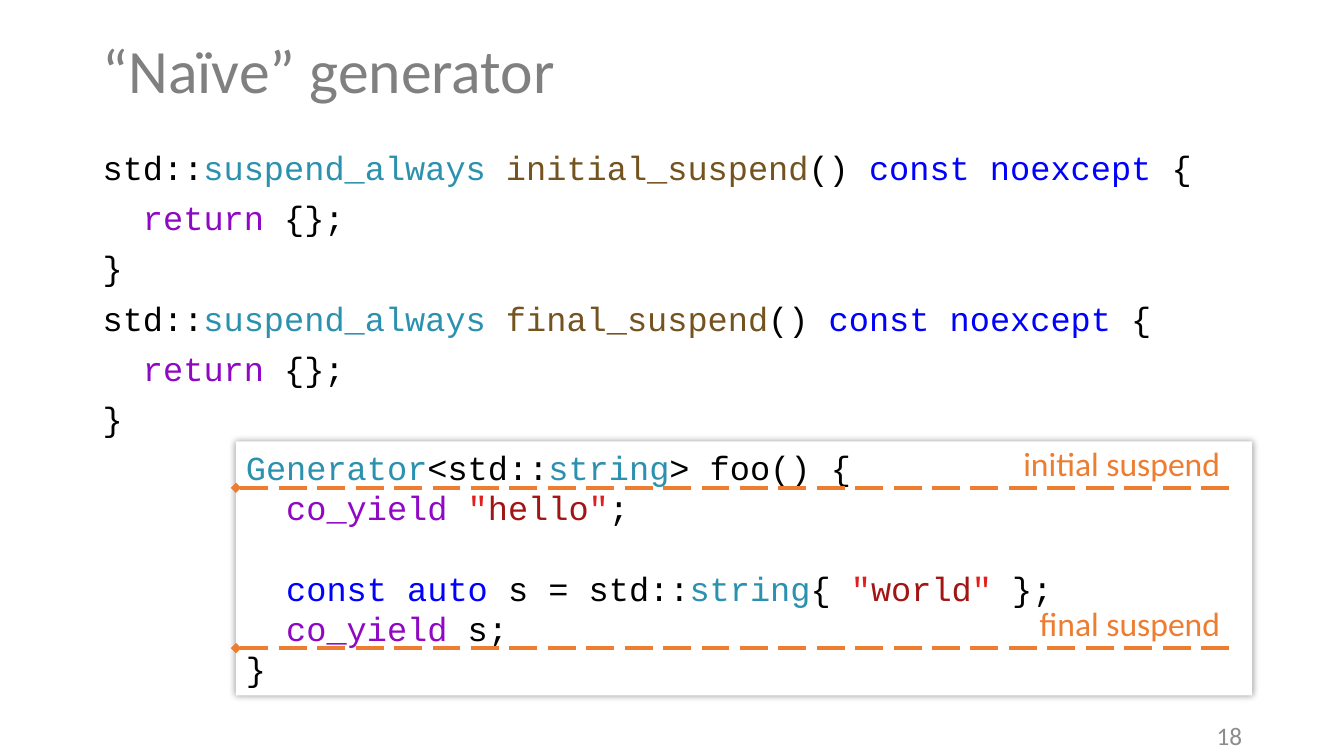
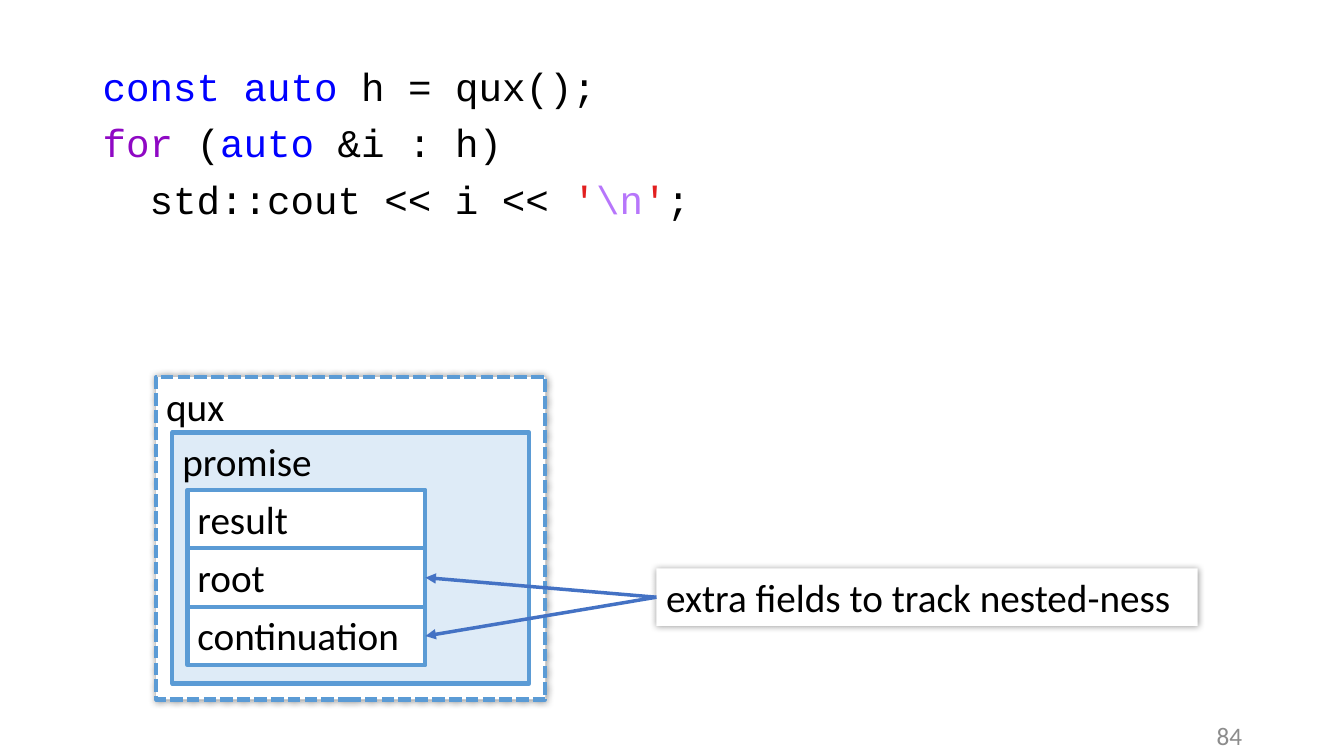
from itertools import groupby

from pptx import Presentation
from pptx.dml.color import RGBColor
from pptx.enum import dml, shapes, text
from pptx.oxml import parse_xml
from pptx.oxml.ns import nsdecls, qn
from pptx.util import Inches, Pt

SANS, MONO = "Calibri", "Courier New"
BLACK, WHITE, GRAY, PALE = "000000", "FFFFFF", "808080", "8C8C8C"
ORANGE, SKY, MIST, BLUE = "ED7D31", "5B9BD5", "DEEBF7", "4472C4"
QUOTES = "\"'"
SYNTAX = {
    "2B91AF": ["suspend_always", "Generator", "string"],
    "74531F": ["initial_suspend", "final_suspend"],
    "0000FF": ["const", "noexcept", "auto"],
    "8F08C4": ["return", "co_yield", "for"],
    "A31515": ["hello", "world"],
    "B776FB": ["\\n"],
    "E21F1F": list(QUOTES),
}
TINTS = {word: tint for tint, words in SYNTAX.items() for word in words}
LEFT, WIDTH = 0.92, 11.5

HOOKS = [
    "std::suspend_always initial_suspend() const noexcept {",
    "  return {};",
    "}",
    "std::suspend_always final_suspend() const noexcept {",
    "  return {};",
    "}",
]
FOO = [
    "Generator<std::string> foo() {",
    '  co_yield "hello";',
    "",
    '  const auto s = std::string{ "world" };',
    "  co_yield s;",
    "}",
]
STOPS = [("initial suspend", 4.84), ("final suspend", 6.43)]
LOOP = [
    "const auto h = qux();",
    "for (auto &i : h)",
    "  std::cout << i << '\\n';",
]
FRAMES = [
    ("qux", (1.55, 3.74, 3.86, 3.2), WHITE, dict(dash="SQUARE_DOT", glow=True)),
    ("promise", (1.71, 4.29, 3.54, 2.49), MIST, {}),
]
FIELDS = ["result", "root", "continuation"]
EXTRA = ["root", "continuation"]


def paint(value):
    return RGBColor.from_string(value)


def kind(char):
    if char in QUOTES:
        return "quote"
    return "word" if char.isalnum() or char in "_\\" else "other"


def tokens(line):
    """Split a code line into (text, colour) pairs."""
    for _, chars in groupby(line, kind):
        part = "".join(chars)
        yield part, TINTS.get(part, BLACK)


def write(frame, lines, size=28, font=SANS, color=BLACK, align="LEFT",
          anchor="TOP", ratio=None, gap=0):
    """Fill a text frame; an empty line becomes space above the next one."""
    frame.word_wrap = True
    frame.auto_size = text.MSO_AUTO_SIZE.NONE
    frame.vertical_anchor = getattr(text.MSO_ANCHOR, anchor)
    para, space = None, 0
    for line in lines:
        if not line:
            space += size * 1.2
            continue
        para = frame.add_paragraph() if para else frame.paragraphs[0]
        para.alignment = getattr(text.PP_ALIGN, align)
        para.space_before = Pt(space)
        para.line_spacing = ratio
        space = gap
        for part, tint in tokens(line) if font == MONO else [(line, color)]:
            run = para.add_run()
            run.text = part
            run.font.size, run.font.name = Pt(size), font
            run.font.color.rgb = paint(tint)


def label(slide, spot, lines, **style):
    box = slide.shapes.add_textbox(*map(Inches, spot))
    write(box.text_frame, lines, **style)


def panel(slide, spot, lines, fill=WHITE, edge=None, dash=None, glow=False,
          **style):
    box = slide.shapes.add_shape(
        shapes.MSO_SHAPE.RECTANGLE, *map(Inches, spot))
    box.shadow.inherit = False
    box.fill.solid()
    box.fill.fore_color.rgb = paint(fill)
    if edge:
        box.line.color.rgb = paint(edge)
        box.line.width = Pt(3)
        if dash:
            box.line.dash_style = getattr(dml.MSO_LINE, dash)
    else:
        box.line.fill.background()
    if glow:
        effects = box.element.spPr.find(qn("a:effectLst"))
        effects.append(parse_xml(
            f'<a:outerShdw {nsdecls("a")} blurRad="{Pt(5)}" dist="0" '
            'algn="ctr" rotWithShape="0"><a:srgbClr val="000000">'
            '<a:alpha val="40000"/></a:srgbClr></a:outerShdw>'))
    write(box.text_frame, lines, **style)
    return box


def link(slide, color, end, mark, spots=(0, 0, 0, 0)):
    """Add a line whose headEnd or tailEnd carries the given mark."""
    line = slide.shapes.add_connector(
        shapes.MSO_CONNECTOR.STRAIGHT, *map(Inches, spots))
    line.line.color.rgb = paint(color)
    line.line.width = Pt(2.5)
    if end == "headEnd":
        line.line.dash_style = dml.MSO_LINE.LONG_DASH
    line.line._get_or_add_ln().append(
        parse_xml(f'<a:{end} {nsdecls("a")} type="{mark}"/>'))
    line.element.spPr.append(parse_xml(f'<a:effectLst {nsdecls("a")}/>'))
    return line


def start(deck, number, title=None):
    """Add a slide with its page number and, if given, its title."""
    slide = deck.slides.add_slide(deck.slide_layouts[5 if title else 6])
    if title:
        head = slide.shapes.title
        head.left, head.top = Inches(LEFT), Inches(0)
        head.width, head.height = Inches(WIDTH), Inches(1.45)
        write(head.text_frame, [title], size=44, color=GRAY,
              anchor="MIDDLE", ratio=0.9)
    label(slide, (9.42, 7.1, 3, 0.4), [number], size=18, color=PALE,
          align="RIGHT", anchor="MIDDLE")
    return slide


def generator(deck):
    slide = start(deck, "18", "“Naïve” generator")
    label(slide, (LEFT, 1.45, WIDTH, 5.65), HOOKS, size=24, font=MONO,
          ratio=0.9, gap=10)
    left = 2.34
    panel(slide, (left, 4.38, 10.08, 2.52), FOO, size=24, font=MONO,
          glow=True)
    for name, y in STOPS:
        label(slide, (9.8, y - 0.5, 2.4, 0.5), [name], size=24,
              color=ORANGE, align="RIGHT")
        link(slide, ORANGE, "headEnd", "diamond", (left, y, 12.26, y))


def nesting(deck):
    slide = start(deck, "84")
    label(slide, (LEFT, 0.62, WIDTH, 2), LOOP, font=MONO, ratio=0.9, gap=10)
    for name, spot, fill, look in FRAMES:
        panel(slide, spot, [name], fill=fill, edge=SKY, **look)
    high = 0.58
    cells = {
        name: panel(slide, (1.86, 4.86 + row * high, 2.36, high), [name],
                    edge=SKY)
        for row, name in enumerate(FIELDS)
    }
    note = panel(slide, (6.51, 5.64, 5.37, 0.57),
                 ["extra fields to track nested-ness"], glow=True)
    for name in EXTRA:
        arrow = link(slide, BLUE, "tailEnd", "triangle")
        arrow.begin_connect(note, 1)
        arrow.end_connect(cells[name], 3)


def main():
    deck = Presentation()
    deck.slide_width, deck.slide_height = Inches(13.33), Inches(7.5)
    generator(deck)
    nesting(deck)
    deck.save("out.pptx")


if __name__ == "__main__":
    main()
